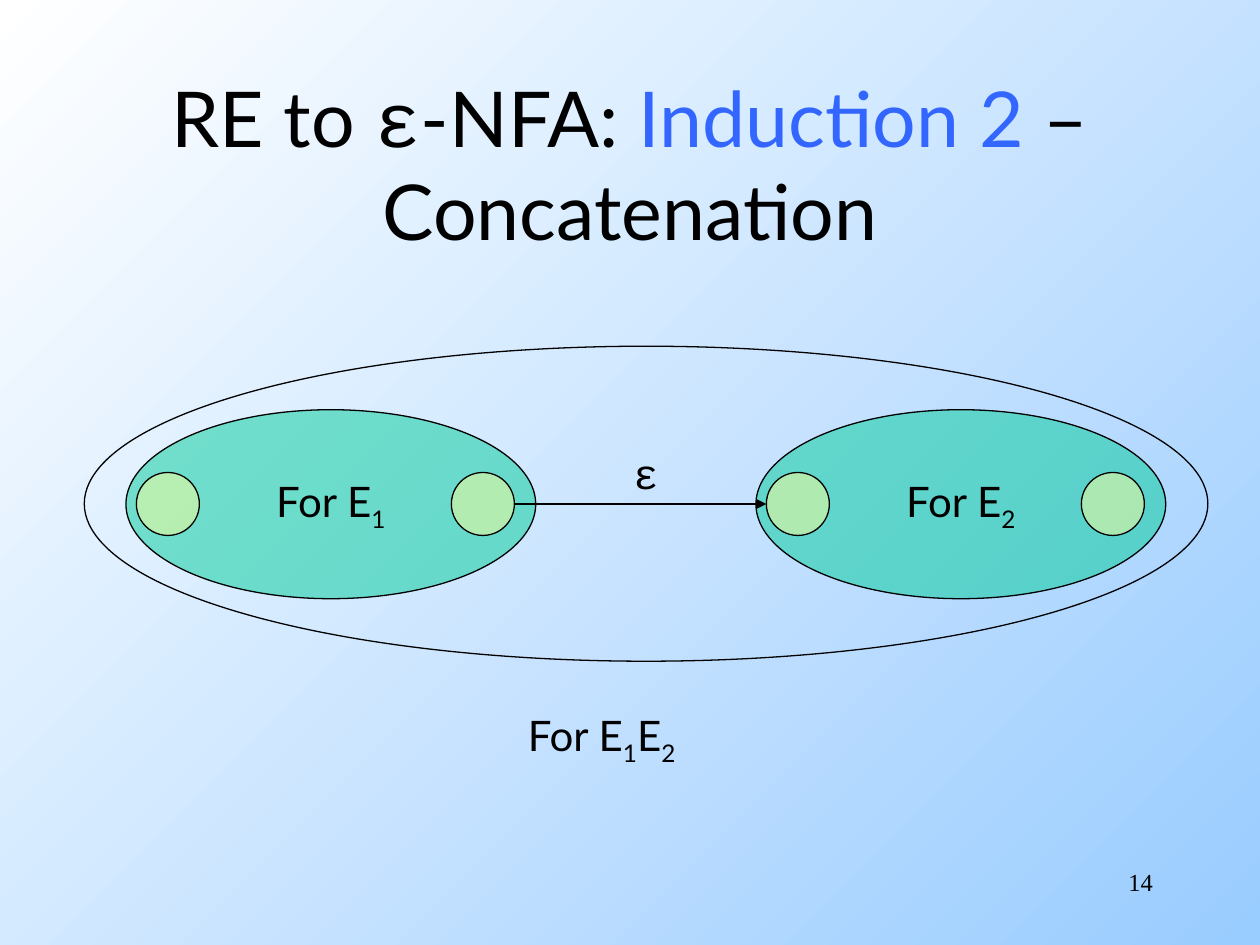
from dataclasses import dataclass

from lxml import etree
from pptx import Presentation
from pptx import util as u
from pptx.dml.color import RGBColor as Rgb
from pptx.enum import shapes, text
from pptx.oxml.ns import qn


@dataclass(frozen=True)
class Theme:
    ink: str = "000000"
    blue: str = "3366FF"
    teal: str = "00CC99"
    lime: str = "FFFF99"
    start: str = "FFFFFF"
    end: str = "99CCFF"
    sans: str = "Lato"
    mono: str = "Courier New"
    serif: str = "Times New Roman"
    title: int = 44
    label: int = 24
    number: int = 14


look = Theme()


def write(frame, parts, size, font=look.sans, align=text.PP_ALIGN.LEFT):
    """Fill a frame with runs; a part that is a bare number is a subscript."""
    para = frame.paragraphs[0]
    para.alignment = align
    for part in parts:
        run = para.add_run()
        run.text = str(part)
        run.font.size = u.Pt(size)
        run.font.name = font
        run.font.color.rgb = Rgb.from_string(look.ink)
        if isinstance(part, int):
            run.font._element.set("baseline", "-25000")
    return para.runs


def oval(home, left, top, wide, high, fill=None):
    """Draw a thin black ellipse, half transparent when it has a fill."""
    form = home.add_shape(shapes.MSO_SHAPE.OVAL, u.Cm(left), u.Cm(top), u.Cm(wide), u.Cm(high))
    form.shadow.inherit = False
    form.line.color.rgb = Rgb.from_string(look.ink)
    form.line.width = u.Pt(0.75)
    if fill:
        form.fill.solid()
        form.fill.fore_color.rgb = Rgb.from_string(fill)
        tint = form._element.spPr.find(qn("a:solidFill"))[0]
        etree.SubElement(tint, qn("a:alpha")).set("val", "50000")
    else:
        form.fill.background()
    return form


deck = Presentation()
deck.slide_width, deck.slide_height = u.Cm(25.4), u.Cm(19.05)
slide = deck.slides.add_slide(deck.slide_layouts[5])

back = slide.background.fill
back.gradient()
back.gradient_angle = 315
for stop, shade in zip(back.gradient_stops, (look.start, look.end)):
    stop.color.rgb = Rgb.from_string(shade)
back.gradient_stops[0].position = 0
back.gradient_stops[1].position = 1

# Title
title = slide.shapes.title
title.left, title.top, title.width, title.height = u.Cm(0), u.Cm(1.7), u.Cm(25.4), u.Cm(3.18)
title.text_frame.vertical_anchor = text.MSO_ANCHOR.MIDDLE
title.text_frame.auto_size = text.MSO_AUTO_SIZE.NONE
words = ["RE to ", "ε", "-NFA: ", "Induction 2", " – Concatenation"]
runs = write(title.text_frame, words, look.title, align=text.PP_ALIGN.CENTER)
runs[1].font.name = look.mono
runs[3].font.color.rgb = Rgb.from_string(look.blue)

# The two machines, each with a start and a final state
axis, state = 10.16, 1.27
for index, left in enumerate((2.54, 15.24), 1):
    group = slide.shapes.add_group_shape().shapes
    body = oval(group, left, axis - 1.9, 8.26, 3.81, look.teal)
    body.text_frame.word_wrap = False
    body.text_frame.vertical_anchor = text.MSO_ANCHOR.MIDDLE
    write(body.text_frame, ["For E", index], look.label, align=text.PP_ALIGN.CENTER)
    for shift in (6.56, 0.21):
        oval(group, left + shift, axis - state / 2, state, state, look.lime)

# The joined machine
oval(slide.shapes, 1.7, axis - 3.18, 22.65, 6.35)

link = slide.shapes.add_connector(
    shapes.MSO_CONNECTOR.STRAIGHT, u.Cm(10.37), u.Cm(axis), u.Cm(15.45), u.Cm(axis))
link.line.color.rgb = Rgb.from_string(look.ink)
link.line.width = u.Pt(0.75)
etree.SubElement(link.line._get_or_add_ln(), qn("a:tailEnd")).set("type", "triangle")
etree.SubElement(link._element.spPr, qn("a:effectLst"))

# Labels and page number
left, right = text.PP_ALIGN.LEFT, text.PP_ALIGN.RIGHT
labels = [
    (10.39, 14.18, 3.53, 1.42, ["For E", 1, "E", 2], look.label, look.sans, left),
    (12.52, 8.89, 0.91, 1.27, ["ε"], look.label, look.mono, left),
    (18.21, 17.35, 5.28, 1.27, ["14"], look.number, look.serif, right),
]
for x, y, wide, high, parts, size, font, align in labels:
    box = slide.shapes.add_textbox(u.Cm(x), u.Cm(y), u.Cm(wide), u.Cm(high))
    box.text_frame.word_wrap = align == right
    write(box.text_frame, parts, size, font, align)

deck.save("out.pptx")
